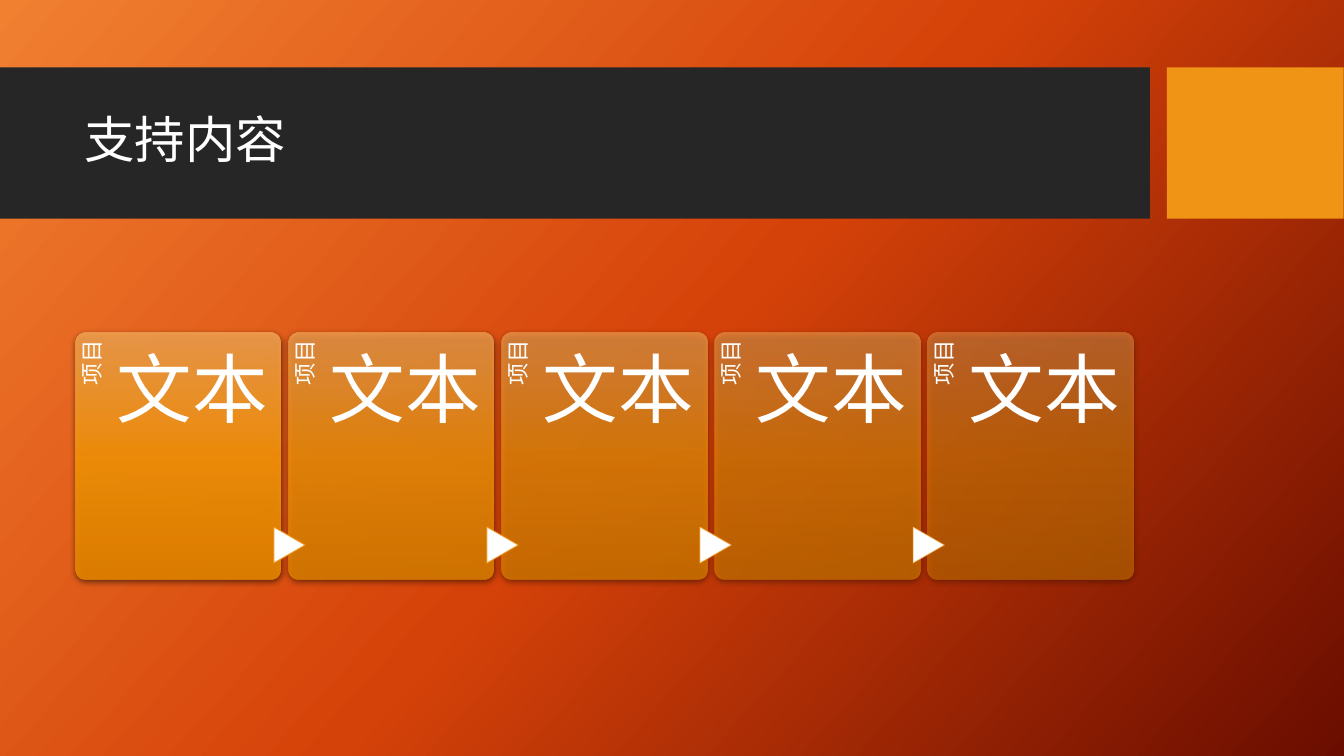
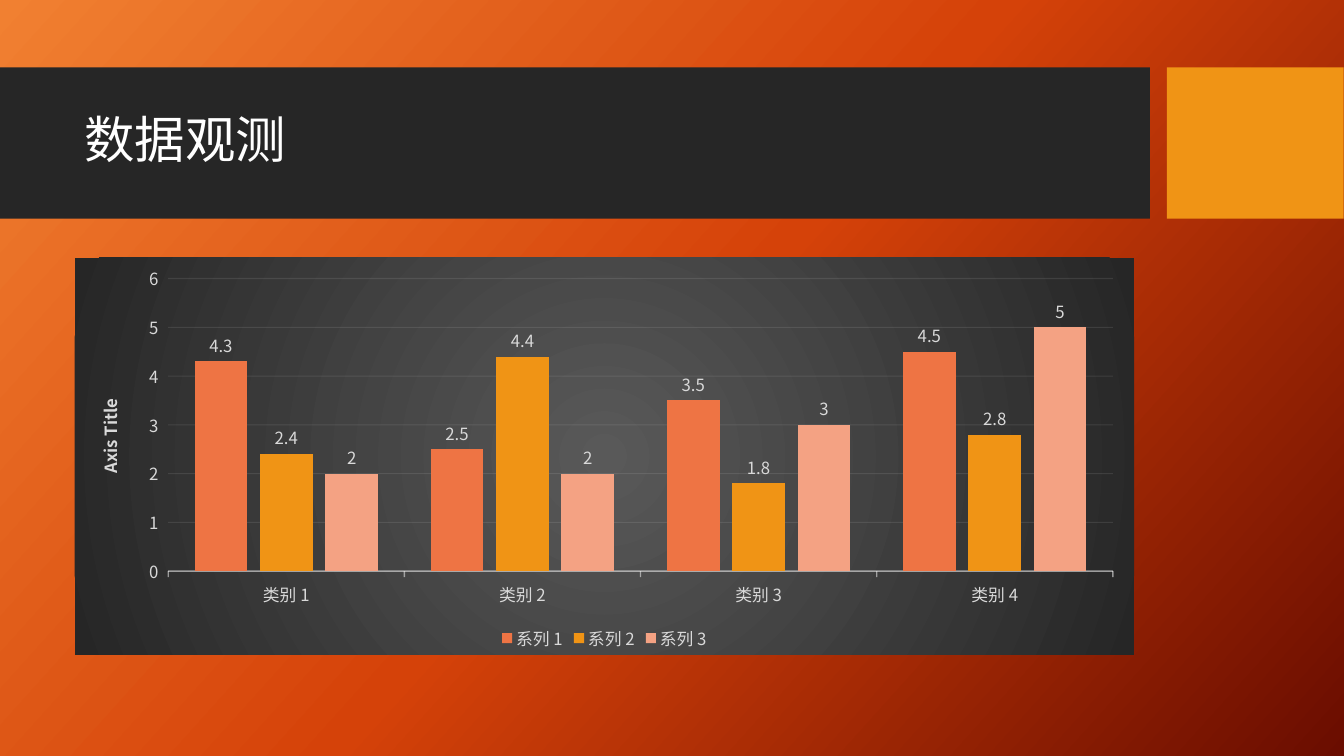
from dataclasses import dataclass
from typing import Any

from lxml.etree import SubElement
from pptx import Presentation
from pptx.chart.data import CategoryChartData
from pptx.dml.color import RGBColor
from pptx.enum.chart import XL_CHART_TYPE as ChartType
from pptx.enum.chart import XL_LABEL_POSITION as LabelPosition
from pptx.enum.chart import XL_LEGEND_POSITION as LegendPosition
from pptx.enum.chart import XL_TICK_MARK as TickMark
from pptx.enum.shapes import MSO_SHAPE as Shape
from pptx.enum.text import MSO_ANCHOR as Anchor
from pptx.enum.text import PP_ALIGN as Align
from pptx.oxml import parse_xml
from pptx.oxml.ns import nsdecls, qn
from pptx.util import Cm, Pt

FONT = "Noto Sans CJK SC"
COLORS = {
    "band": "262626",
    "accent": "F09415",
    "text": "FFFFFF",
    "chart_text": "D9D9D9",
    "chart_line": "F2F2F2",
    "shadow": "000000",
}
BACKDROP = ["F18031", "D54209", "6A0D00"]
CARD_FILL = ["F4A050", "FB960A", "E88600"]
CHART_FILL = ["595959", "262626"]


@dataclass(frozen=True)
class Box:
    left: float
    top: float
    width: float
    height: float

    def frame(self) -> tuple[Cm, Cm, Cm, Cm]:
        return Cm(self.left), Cm(self.top), Cm(self.width), Cm(self.height)


@dataclass(frozen=True)
class Step:
    label: str
    text: str
    opacity: int
    arrow_opacity: int = 0


@dataclass(frozen=True)
class Series:
    name: str
    values: tuple[float, ...]
    color: str


BANDS = [(Box(0, 1.7, 28.98, 3.81), "band"), (Box(29.41, 1.7, 4.45, 3.81), "accent")]
TITLE = Box(1.88, 2.08, 26.7, 3)
CHART = Box(1.88, 6.5, 26.7, 10)
CARD_LEFT, CARD_PITCH = 1.9, 5.37

STEPS = [
    Step("项目", "文本", 90),
    Step("项目", "文本", 80, 90),
    Step("项目", "文本", 70, 77),
    Step("项目", "文本", 60, 63),
    Step("项目", "文本", 50, 50),
]
CATEGORIES = ["类别 1", "类别 2", "类别 3", "类别 4"]
SERIES = [
    Series("系列 1", (4.3, 2.5, 3.5, 4.5), "EE7444"),
    Series("系列 2", (2.4, 4.4, 1.8, 2.8), "F09415"),
    Series("系列 3", (2, 2, 3, 5), "F4A283"),
]


def apply(target: Any, **values: Any) -> None:
    for name, value in values.items():
        setattr(target, name, value)


def style_font(font: Any, size: float, color: str, bold: bool = False) -> None:
    apply(font, name=FONT, size=Pt(size), bold=bold)
    font.color.rgb = RGBColor.from_string(COLORS[color])


def add_east_asian_fonts(root: Any) -> None:
    for latin in list(root.iter(qn("a:latin"))):
        latin.addnext(parse_xml(f'<a:ea {nsdecls("a")} typeface="{FONT}"/>'))


def set_opacity(root: Any, percent: int) -> None:
    color = next(root.iter(qn("a:srgbClr")))
    SubElement(color, qn("a:alpha"), val=str(percent * 1000))


def gradient(colors: list[str], direction: str, opacity: int = 100) -> Any:
    last = len(colors) - 1
    stops = "".join(
        f'<a:gs pos="{i * 100000 // last}"><a:srgbClr val="{color}">'
        f'<a:alpha val="{opacity * 1000}"/></a:srgbClr></a:gs>'
        for i, color in enumerate(colors)
    )
    return parse_xml(
        f'<a:gradFill {nsdecls("a")} rotWithShape="1"><a:gsLst>{stops}</a:gsLst>{direction}</a:gradFill>'
    )


def linear(degrees: int) -> str:
    return f'<a:lin ang="{degrees * 60000}" scaled="0"/>'


def replace_fill(root: Any, fill: Any) -> None:
    solid = next(root.iter(qn("a:solidFill")))
    solid.getparent().replace(solid, fill)


def add_plain_shape(slide: Any, kind: Any, box: Box, color: str) -> Any:
    shape = slide.shapes.add_shape(kind, *box.frame())
    shape.shadow.inherit = False
    shape.fill.solid()
    shape.fill.fore_color.rgb = RGBColor.from_string(COLORS[color])
    shape.line.fill.background()
    return shape


def add_text(
    slide: Any, box: Box, text: str, size: float, align: Any = Align.LEFT, **frame_format: Any
) -> Any:
    holder = slide.shapes.add_textbox(*box.frame())
    apply(holder.text_frame, word_wrap=True, **frame_format)
    paragraph = holder.text_frame.paragraphs[0]
    apply(paragraph, text=text, alignment=align, line_spacing=0.9)
    style_font(paragraph.runs[0].font, size, "text")
    add_east_asian_fonts(holder.element)
    return holder


def add_base_slide(deck: Any, title: str) -> Any:
    slide = deck.slides.add_slide(deck.slide_layouts[6])
    slide.background.fill.solid()
    replace_fill(slide.element, gradient(BACKDROP, linear(42)))
    for box, color in BANDS:
        add_plain_shape(slide, Shape.RECTANGLE, box, color)
    add_text(slide, TITLE, title, 36, vertical_anchor=Anchor.MIDDLE)
    return slide


def add_step(slide: Any, step: Step, left: float) -> None:
    card = add_plain_shape(slide, Shape.ROUNDED_RECTANGLE, Box(left, 8.38, 5.18, 6.22), "accent")
    card.adjustments[0] = 0.05
    replace_fill(card.element, gradient(CARD_FILL, linear(90), step.opacity))
    effects = next(card.element.iter(qn("a:effectLst")))
    effects.append(
        parse_xml(
            f'<a:outerShdw {nsdecls("a")} blurRad="{Pt(4.5)}" dist="{Pt(1.5)}" dir="5400000" '
            f'rotWithShape="0"><a:srgbClr val="{COLORS["shadow"]}"/></a:outerShdw>'
        )
    )
    set_opacity(effects, 63)

    label = add_text(
        slide, Box(left - 2.03, 10.41, 5.1, 1.04), step.label, 16, Align.RIGHT,
        margin_left=0, margin_top=Cm(0.15), margin_right=Cm(0.2), margin_bottom=0,
    )
    label.rotation = 270

    if step.arrow_opacity:
        arrow = add_plain_shape(
            slide, Shape.FLOWCHART_EXTRACT, Box(left - 0.43, 13.34, 0.91, 0.79), "text"
        )
        arrow.rotation = 90
        arrow.line.color.rgb = RGBColor.from_string(COLORS["accent"])
        arrow.line.width = Pt(0.75)
        set_opacity(next(arrow.element.iter(qn("a:ln"))), step.arrow_opacity)

    add_text(
        slide, Box(left + 1.04, 8.38, 3.86, 6.22), step.text, 54,
        margin_left=0, margin_top=Cm(0.5), margin_right=0, margin_bottom=0,
    )


def style_chart_line(chart: Any, line: Any, owner: str, width: float, opacity: int) -> None:
    line.color.rgb = RGBColor.from_string(COLORS["chart_line"])
    line.width = Pt(width)
    element = next(chart.element.iter(qn(owner)))
    set_opacity(next(element.iter(qn("a:ln"))), opacity)


def add_column_chart(slide: Any) -> None:
    data = CategoryChartData()
    data.categories = CATEGORIES
    for series in SERIES:
        data.add_series(series.name, series.values)
    chart = slide.shapes.add_chart(ChartType.COLUMN_CLUSTERED, *CHART.frame(), data).chart
    apply(chart, has_title=False, has_legend=True)
    style_font(chart.font, 10, "text")
    apply(chart.legend, position=LegendPosition.BOTTOM, include_in_layout=False)
    style_font(chart.legend.font, 12, "chart_text")

    categories, values = chart.category_axis, chart.value_axis
    for axis in (categories, values):
        axis.major_tick_mark = TickMark.OUTSIDE
        style_font(axis.tick_labels.font, 12, "chart_text")
    apply(values, minimum_scale=0, maximum_scale=6, major_unit=1, has_major_gridlines=True)
    values.format.line.fill.background()
    style_chart_line(chart, categories.format.line, "c:catAx", 1, 54)
    style_chart_line(chart, values.major_gridlines.format.line, "c:majorGridlines", 0.75, 10)
    axis_title = values.axis_title.text_frame
    axis_title.text = "Axis Title"
    style_font(axis_title.paragraphs[0].runs[0].font, 12, "chart_text", bold=True)

    plot = chart.plots[0]
    apply(plot, gap_width=100, overlap=-24, vary_by_categories=False)
    for column, series in zip(plot.series, SERIES):
        column.format.fill.solid()
        column.format.fill.fore_color.rgb = RGBColor.from_string(series.color)
        labels = column.data_labels
        apply(labels, show_value=True, position=LabelPosition.OUTSIDE_END)
        style_font(labels.font, 12, "chart_text")

    center = '<a:path path="circle"><a:fillToRect l="50000" t="50000" r="50000" b="50000"/></a:path>'
    area = parse_xml(f'<c:spPr {nsdecls("c", "a")}><a:ln><a:noFill/></a:ln></c:spPr>')
    area.insert(0, gradient(CHART_FILL, center))
    chart.element.find(qn("c:chart")).addnext(area)
    add_east_asian_fonts(chart.element)


def main() -> None:
    deck = Presentation()
    apply(deck, slide_width=Cm(33.87), slide_height=Cm(19.05))
    support = add_base_slide(deck, "支持内容")
    for i, step in enumerate(STEPS):
        add_step(support, step, CARD_LEFT + i * CARD_PITCH)
    add_column_chart(add_base_slide(deck, "数据观测"))
    deck.save("out.pptx")


if __name__ == "__main__":
    main()
